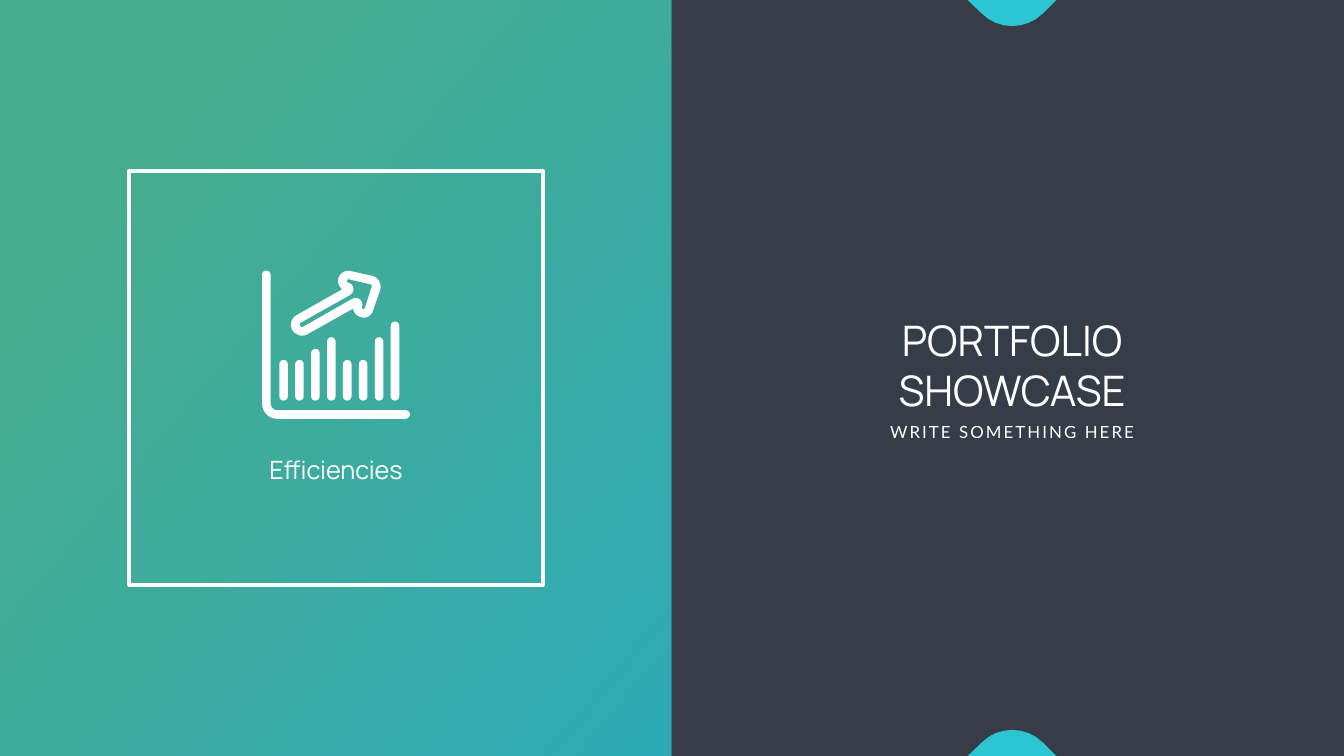
from dataclasses import dataclass

from lxml.etree import SubElement
from pptx import Presentation
from pptx.dml.color import RGBColor
from pptx.enum.shapes import MSO_SHAPE
from pptx.enum.text import PP_ALIGN
from pptx.oxml.ns import qn
from pptx.util import Pt


@dataclass(frozen=True)
class Theme:
    """Colours, fonts and type sizes of the slide."""
    dark: RGBColor = RGBColor(0x36, 0x3D, 0x48)
    green: RGBColor = RGBColor(0x4B, 0xC7, 0x9F)
    cyan: RGBColor = RGBColor(0x2C, 0xC5, 0xD2)
    white: RGBColor = RGBColor(0xFF, 0xFF, 0xFF)
    head_font: str = "Manrope"
    body_font: str = "Lato"
    title: int = 60
    label: int = 36
    subtitle: int = 24


THEME = Theme()
WIDTH, HEIGHT = 1919.52, 1080
UNIT = 0.72

AXES = [
    (284, 279), (30, 279), (23, 279, 17, 273, 17, 266), (17, 11),
    (17, 6, 13, 2, 8, 2), (3, 2, 0, 6, 0, 11), (0, 266),
    (0, 282, 13, 296, 30, 296), (284, 296),
    (289, 296, 293, 292, 293, 287), (293, 282, 289, 279, 284, 279),
]
ARROW_INNER = [
    (217, 35), (204, 76), (203, 77, 202, 79, 200, 78),
    (199, 77, 198, 77, 198, 76), (198, 76, 197, 75, 198, 74),
    (200, 68, 198, 63, 194, 59), (190, 56, 184, 55, 179, 58), (82, 113),
    (79, 114, 76, 114, 75, 111), (75, 110, 74, 109, 75, 108),
    (75, 107, 76, 106, 77, 105), (175, 50), (179, 47, 182, 42, 181, 37),
    (180, 31, 176, 27, 171, 26), (169, 26, 169, 25, 168, 24),
    (168, 24, 168, 23, 168, 22), (168, 20, 170, 19, 171, 19), (214, 29),
    (216, 29, 217, 30, 217, 31), (217, 32, 218, 33, 217, 35),
]
ARROW_OUTER = [
    (232, 23), (229, 17, 223, 13, 217, 12), (176, 3),
    (165, 0, 154, 7, 151, 18), (150, 23, 151, 29, 154, 33),
    (155, 35, 157, 38, 159, 39), (69, 90), (63, 93, 60, 98, 58, 103),
    (57, 109, 57, 115, 60, 120), (63, 125, 68, 128, 73, 130),
    (75, 131, 77, 131, 79, 131), (83, 131, 87, 130, 90, 128), (181, 77),
    (181, 79, 181, 82, 183, 84), (185, 89, 189, 92, 195, 94),
    (205, 98, 217, 92, 220, 81), (234, 41), (236, 35, 235, 28, 232, 23),
]
TAB = [(0, 0), (176, 0), (149, 27), (115, 60, 61, 60, 28, 27)]
BAR_HEIGHTS = [81, 81, 103, 126, 81, 81, 126, 157]


def flatten(contour, steps=8):
    """Turn lines and cubic curves into a list of points."""
    points = [contour[0]]
    for seg in contour[1:]:
        if len(seg) == 2:
            points.append(seg)
            continue
        x0, y0 = points[-1]
        x1, y1, x2, y2, x3, y3 = seg
        for i in range(1, steps + 1):
            t = i / steps
            u = 1 - t
            a, b, c, d = u ** 3, 3 * u * u * t, 3 * u * t * t, t ** 3
            points.append((a * x0 + b * x1 + c * x2 + d * x3,
                           a * y0 + b * y1 + c * y2 + d * y3))
    return points


def paint(sp, color):
    """Give a shape a plain fill without line or shadow."""
    sp.shadow.inherit = False
    sp.fill.solid()
    sp.fill.fore_color.rgb = color
    sp.line.fill.background()


def add_outline(shapes, x, y, contours, color, flip=1):
    """Draw closed contours from a corner, upwards when flip is -1."""
    builder = None
    for contour in contours:
        points = [(Pt(x + px * UNIT), Pt(y + flip * py * UNIT))
                  for px, py in flatten(contour)]
        if builder is None:
            builder = shapes.build_freeform(*points[0], scale=1.0)
        else:
            builder.move_to(*points[0])
        builder.add_line_segments(points[1:], close=True)
    paint(builder.convert_to_shape(), color)


def add_text(shapes, x, y, w, h, text, font, size, wrap=True):
    """Add a centred white text box and return its paragraph."""
    tf = shapes.add_textbox(Pt(x), Pt(y), Pt(w), Pt(h)).text_frame
    tf.word_wrap = wrap
    p = tf.paragraphs[0]
    p.text = text
    p.alignment = PP_ALIGN.CENTER
    p.font.name = font
    p.font.size = Pt(size)
    p.font.color.rgb = THEME.white
    return p


def add_growth_icon(s, x, y):
    """Draw the bar chart icon with its rising arrow."""
    shapes = s.shapes.add_group_shape().shapes
    add_outline(shapes, x, y, [AXES], THEME.white)
    for i, height in enumerate(BAR_HEIGHTS):
        bar = shapes.add_shape(
            MSO_SHAPE.ROUNDED_RECTANGLE,
            Pt(x + (34 + i * 31.57) * UNIT), Pt(y + (260 - height) * UNIT),
            Pt(17 * UNIT), Pt(height * UNIT))
        bar.adjustments[0] = 0.5
        paint(bar, THEME.white)
    add_outline(shapes, x, y, [ARROW_INNER, ARROW_OUTER], THEME.white)


def add_feature_panel(s, x, y, w, h):
    """Fill the box with a gradient, a framed icon and its label."""
    panel = s.shapes.add_shape(MSO_SHAPE.RECTANGLE, Pt(x), Pt(y), Pt(w), Pt(h))
    panel.shadow.inherit = False
    panel.line.fill.background()
    panel.fill.gradient()
    panel.fill.gradient_angle = 320
    colors = (THEME.green, 0.22), (THEME.cyan, 0.99)
    for stop, (color, position) in zip(panel.fill.gradient_stops, colors):
        stop.color.rgb = color
        stop.position = position
    for clr in panel._element.spPr.iter(qn("a:srgbClr")):
        SubElement(clr, qn("a:alpha"), val="80000")

    side = 591.84
    frame = s.shapes.add_shape(
        MSO_SHAPE.RECTANGLE, Pt(x + (w - side) / 2), Pt(y + (h - side) / 2),
        Pt(side), Pt(side))
    frame.shadow.inherit = False
    frame.fill.background()
    frame.line.color.rgb = THEME.white
    frame.line.width = Pt(5)

    p = add_text(s.shapes, x + (w - 370) / 2, y + 647.28, 370, 50.4,
                 "Efficiencies", THEME.head_font, THEME.label)
    p.line_spacing = Pt(40.8)
    add_growth_icon(s, x + 374.4, y + 385.2)


def add_title_panel(s, x, y, w, h):
    """Place the title, its subtitle and the two edge tabs in the box."""
    center = x + w / 2 + 5.8
    shapes = s.shapes.add_group_shape().shapes
    add_text(shapes, center - 204, y + 445.68, 408, 152.64,
             "PORTFOLIO SHOWCASE", THEME.head_font, THEME.title)
    p = add_text(shapes, center - 185, y + 598.32, 370, 36,
                 "WRITE SOMETHING HERE", THEME.body_font, THEME.subtitle,
                 wrap=False)
    p.runs[0].font._element.set("spc", "300")
    tab_x = center - 88 * UNIT
    add_outline(s.shapes, tab_x, y, [TAB], THEME.cyan)
    add_outline(s.shapes, tab_x, y + h, [TAB], THEME.cyan, flip=-1)


def main():
    """Build the slide and save it."""
    prs = Presentation()
    prs.slide_width, prs.slide_height = Pt(WIDTH), Pt(HEIGHT)
    s = prs.slides.add_slide(prs.slide_layouts[6])
    s.background.fill.solid()
    s.background.fill.fore_color.rgb = THEME.dark
    half = WIDTH / 2
    add_feature_panel(s, 0, 0, half, HEIGHT)
    add_title_panel(s, half, 0, half, HEIGHT)
    prs.save("out.pptx")


if __name__ == "__main__":
    main()
